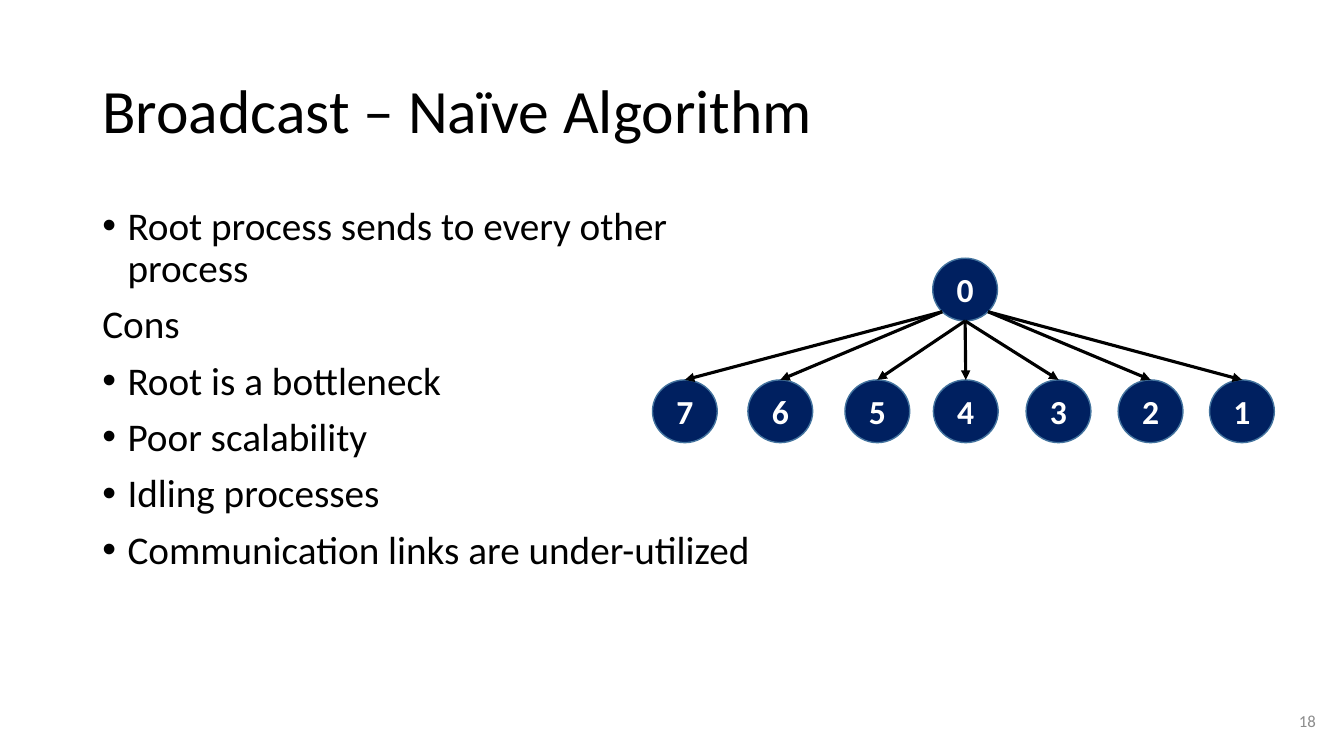
from math import cos, radians, sin

from lxml.etree import SubElement
from pptx import Presentation
from pptx.dml.color import RGBColor
from pptx.enum.shapes import MSO_CONNECTOR, MSO_SHAPE
from pptx.enum.text import MSO_ANCHOR, PP_ALIGN
from pptx.oxml.ns import qn
from pptx.util import Inches, Pt

WIDTH, HEIGHT = Inches(13.33), Inches(7.5)
COLOURS = {"ink": "000000", "muted": "8C8C8C", "node": "002060",
           "rim": "43739E", "label": "FFFFFF"}
NODE_SIZE = (4.82, 8.3)
ROOT_PLACE = (69.4, 34.15)
CHILD_ROW = 50.25
CHILDREN = [("7", 48.55, 135), ("6", 55.65, 135), ("5", 62.87, 90),
            ("4", 69.45, 90), ("3", 76.35, 90), ("2", 83.2, 45),
            ("1", 90, 45)]
POINTS = [("Root process sends to every other process", True),
          ("Cons", False),
          ("Root is a bottleneck", True),
          ("Poor scalability", True),
          ("Idling processes", True),
          ("Communication links are under-utilized", True)]


def across(percent):
    """Return a share of the slide's width."""
    return round(WIDTH * percent / 100)


def down(percent):
    """Return a share of the slide's height."""
    return round(HEIGHT * percent / 100)


def area(left, top, width, height):
    """Turn percentages into a place and size on the slide."""
    return across(left), down(top), across(width), down(height)


def colour(name):
    """Look up a named colour."""
    return RGBColor.from_string(COLOURS[name])


def apply(target, values):
    """Set every attribute in a dict of format values."""
    for name, value in values.items():
        setattr(target, name, value)


def write(para, text, size, ink="ink", bold=False, **layout):
    """Write one run of text into a paragraph."""
    span = para.add_run()
    span.text = text
    apply(span.font, {"name": "Calibri", "size": Pt(size), "bold": bold})
    span.font.color.rgb = colour(ink)
    apply(para, layout)


def add_bullet(para):
    """Give a paragraph a hanging bullet."""
    properties = para._p.get_or_add_pPr()
    properties.set("marL", str(Inches(0.25)))
    properties.set("indent", str(-Inches(0.25)))
    SubElement(properties, qn("a:buFont")).set("typeface", "Arial")
    SubElement(properties, qn("a:buChar")).set("char", "•")


def add_box(page, place, anchor):
    """Add a wrapping text box and return its frame."""
    frame = page.shapes.add_textbox(*area(*place)).text_frame
    apply(frame, {"word_wrap": True, "vertical_anchor": anchor})
    return frame


def add_points(page, place, points):
    """Add the list of points, bulleted where marked."""
    frame = add_box(page, place, MSO_ANCHOR.TOP)
    for index, (text, bulleted) in enumerate(points):
        para = frame.add_paragraph() if index else frame.paragraphs[0]
        if bulleted:
            add_bullet(para)
        write(para, text, 28, line_spacing=0.9,
              space_before=Pt(10 if index else 0))


def add_node(page, label, left, top):
    """Add a round process node."""
    node = page.shapes.add_shape(MSO_SHAPE.OVAL, *area(left, top, *NODE_SIZE))
    node.shadow.inherit = False
    node.fill.solid()
    node.fill.fore_color.rgb = colour("node")
    node.line.color.rgb = colour("rim")
    node.line.width = Pt(1)
    node.text_frame.vertical_anchor = MSO_ANCHOR.MIDDLE
    write(node.text_frame.paragraphs[0], label, 24, "label", True,
          alignment=PP_ALIGN.CENTER)
    return node


def add_arrow(page, root, child, angle):
    """Draw an arrow from a point on the root's rim to the child's top."""
    turn = radians(angle)
    start = (round(root.left + root.width * (1 + cos(turn)) / 2),
             round(root.top + root.height * (1 + sin(turn)) / 2))
    arrow = page.shapes.add_connector(MSO_CONNECTOR.STRAIGHT, *start,
                                      child.left, child.top)
    arrow.end_connect(child, 0)
    arrow.line.color.rgb = colour("ink")
    arrow.line.width = Pt(2.25)
    SubElement(arrow.line._get_or_add_ln(), qn("a:tailEnd")).set("type", "triangle")
    SubElement(arrow._element.spPr, qn("a:effectLst"))


def main():
    """Build the broadcast slide."""
    deck = Presentation()
    apply(deck, {"slide_width": WIDTH, "slide_height": HEIGHT})
    page = deck.slides.add_slide(deck.slide_layouts[6])

    title = add_box(page, (6.88, 5.33, 86.25, 19.33), MSO_ANCHOR.MIDDLE)
    write(title.paragraphs[0], "Broadcast – Naïve Algorithm", 44, line_spacing=0.9)
    add_points(page, (6.88, 26.62, 50.5, 63.45), POINTS)
    number = add_box(page, (70.65, 92.67, 28, 5.33), MSO_ANCHOR.MIDDLE)
    write(number.paragraphs[0], "18", 12, "muted", alignment=PP_ALIGN.RIGHT)

    root = add_node(page, "0", *ROOT_PLACE)
    for label, left, angle in CHILDREN:
        child = add_node(page, label, left, CHILD_ROW)
        add_arrow(page, root, child, angle)

    deck.save("out.pptx")


if __name__ == "__main__":
    main()
